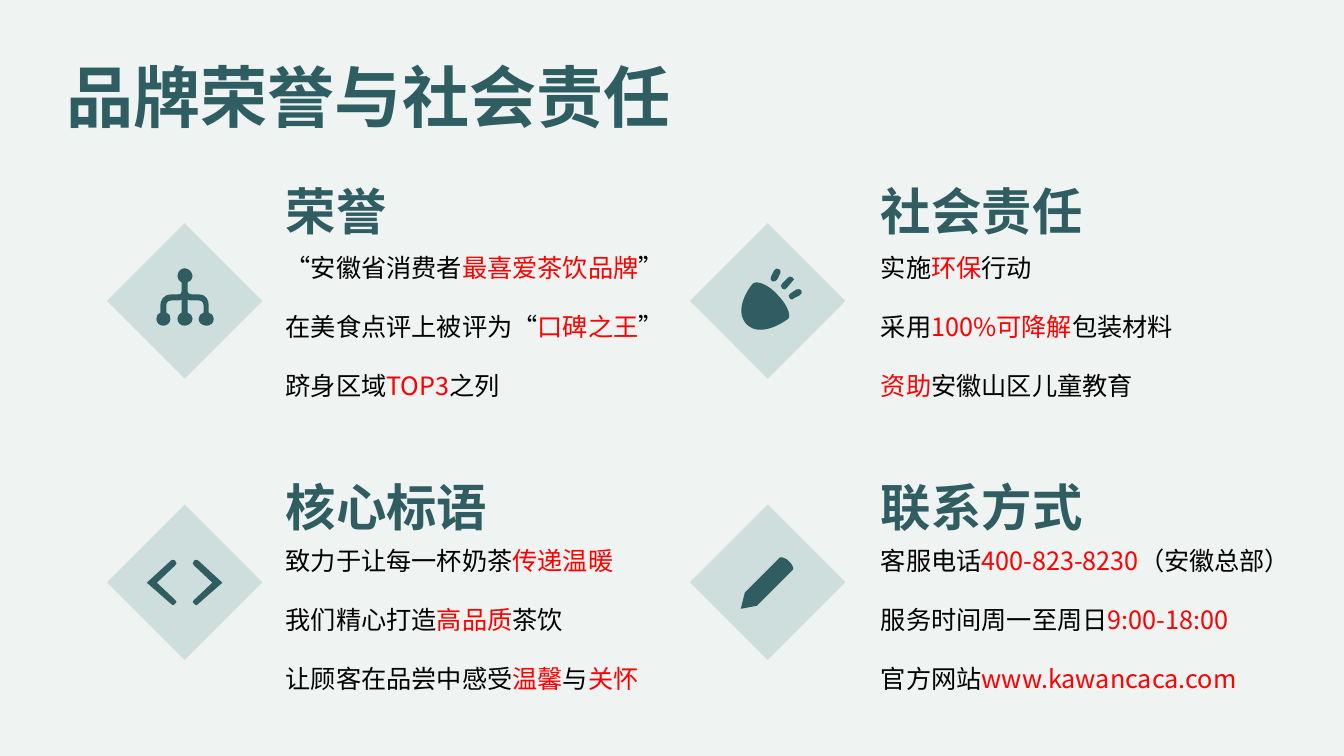
from dataclasses import dataclass

from lxml.etree import SubElement
from pptx import Presentation
from pptx.dml.color import RGBColor
from pptx.enum.lang import MSO_LANGUAGE_ID
from pptx.enum.shapes import MSO_SHAPE
from pptx.enum.text import MSO_ANCHOR
from pptx.oxml.ns import qn
from pptx.util import Cm, Pt


@dataclass(frozen=True)
class Theme:
    font: str = "Noto Sans CJK SC"
    background: RGBColor = RGBColor.from_string("EFF3F2")
    title: RGBColor = RGBColor.from_string("2E5D62")
    accent: RGBColor = RGBColor.from_string("2F5D62")
    diamond: RGBColor = RGBColor.from_string("CEDEDC")
    body: RGBColor = RGBColor.from_string("000000")
    highlight: RGBColor = RGBColor.from_string("FF0000")
    title_size: Pt = Pt(48)
    heading_size: Pt = Pt(36)
    body_size: Pt = Pt(18)


theme = Theme()
presentation = Presentation()
presentation.slide_width = Cm(33.87)
presentation.slide_height = Cm(19.05)
slide = presentation.slides.add_slide(presentation.slide_layouts[6])
slide.background.fill.solid()
slide.background.fill.fore_color.rgb = theme.background


def add_text(text, left, top, width, height, size, color, bold=False, anchor=MSO_ANCHOR.MIDDLE,
             spacing=1.4, after=0, insets=(0.18, 0.1, 0.18, 0.1)):
    frame = slide.shapes.add_textbox(Cm(left), Cm(top), Cm(width), Cm(height)).text_frame
    frame.word_wrap = True
    frame.vertical_anchor = anchor
    frame.margin_left, frame.margin_top, frame.margin_right, frame.margin_bottom = map(Cm, insets)
    for line_number, line in enumerate(text.split("\n")):
        paragraph = frame.add_paragraph() if line_number else frame.paragraphs[0]
        paragraph.line_spacing = spacing
        paragraph.space_after = Pt(after)
        for part_number, part in enumerate(line.split("|")):
            if not part:
                continue
            run = paragraph.add_run()
            run.text = part
            run.font.size = size
            run.font.bold = bold
            run.font.name = theme.font
            run.font.language_id = MSO_LANGUAGE_ID.SIMPLIFIED_CHINESE
            run.font.color.rgb = theme.highlight if part_number % 2 else color
            SubElement(run.font._element, qn("a:ea"), typeface=theme.font)


def add_icon(left, top, contours):
    unit = Cm(0.0254)
    builder = slide.shapes.build_freeform(*contours[0][0], scale=unit)
    builder = slide.shapes.build_freeform(*(value * unit for value in contours[0][0]))
    for number, (start, *segments) in enumerate(contours):
        if number:
            builder.move_to(*(value * unit for value in start))
        for segment in segments:
            values = [value * unit for value in (segment * 3 if len(segment) == 2 else segment)]
            builder.add_line_segments(zip(values[::2], values[1::2]), close=segment is segments[-1])
    icon = builder.convert_to_shape(Cm(left), Cm(top))
    lines = list(icon._element.iter(qn("a:lnTo")))
    for curve, second, third in zip(lines[::3], lines[1::3], lines[2::3]):
        curve.tag = qn("a:cubicBezTo")
        for line in (second, third):
            curve.append(line[0])
            line.getparent().remove(line)
    icon.shadow.inherit = False
    icon.fill.solid()
    icon.fill.fore_color.rgb = theme.accent
    icon.line.fill.background()


hierarchy = [[
    (52, 44), (52, 37), (52, 32, 50, 26, 42, 26), (36, 26), (32, 26, 31, 24, 31, 23), (31, 14),
    (34, 13, 36, 11, 36, 8), (36, 4, 32, 0, 28, 0), (24, 0, 21, 4, 21, 8), (21, 11, 23, 13, 25, 14),
    (25, 23), (25, 24, 25, 26, 21, 26), (15, 26), (7, 26, 4, 32, 4, 37), (4, 44),
    (2, 45, 0, 47, 0, 50), (0, 54, 3, 57, 7, 57), (11, 57, 14, 54, 14, 50), (14, 47, 13, 45, 10, 44),
    (10, 37), (10, 36, 10, 32, 15, 32), (21, 32), (23, 32, 24, 32, 25, 31), (25, 44),
    (23, 45, 21, 47, 21, 50), (21, 54, 24, 57, 28, 57), (32, 57, 36, 54, 36, 50),
    (36, 47, 34, 45, 31, 44), (31, 31), (32, 32, 34, 32, 36, 32), (42, 32),
    (46, 32, 47, 35, 47, 37), (47, 44), (44, 45, 42, 47, 42, 50), (42, 54, 45, 57, 50, 57),
    (54, 57, 57, 54, 57, 50), (57, 47, 55, 45, 52, 44),
]]
bell = [
    [(20, 15), (16, 19, 0, 42, 14, 56), (28, 69, 51, 53, 55, 50), (58, 46, 53, 35, 44, 26),
     (35, 16, 24, 12, 20, 15)],
    [(51, 21), (52, 21, 53, 20, 53, 20), (59, 13), (61, 12, 61, 10, 59, 9), (58, 8, 56, 8, 55, 9),
     (49, 15), (47, 16, 47, 19, 49, 20), (49, 20, 50, 21, 51, 21)],
    [(39, 13), (40, 13, 40, 13, 41, 13), (42, 13, 43, 12, 44, 11), (47, 5), (48, 3, 47, 2, 46, 1),
     (44, 0, 42, 0, 41, 2), (38, 8), (37, 10, 37, 12, 39, 13)],
    [(68, 22), (67, 21, 65, 20, 63, 21), (57, 25), (55, 26, 55, 28, 56, 29),
     (56, 30, 57, 31, 59, 31), (59, 31, 60, 31, 60, 30), (66, 27), (68, 26, 69, 24, 68, 22)],
]
left_bracket = [
    (28, 1), (27, 0, 25, 0, 24, 1), (0, 23), (24, 44), (25, 46, 27, 46, 28, 44),
    (30, 43, 30, 41, 28, 40), (10, 23), (28, 6), (30, 5, 30, 3, 28, 1),
]
right_bracket = [tuple(value if index % 2 else 75 - value for index, value in enumerate(segment))
                 for segment in left_bracket]
pencil = [[(48, 5), (43, 0, 39, 1, 39, 1), (4, 36), (0, 52), (16, 49), (52, 13),
           (52, 13, 53, 10, 48, 5)]]

sections = [
    ("荣誉", "“安徽省消费者|最喜爱茶饮品牌|”\n在美食点评上被评为“|口碑之王|”\n跻身区域|TOP3|之列",
     9.91, hierarchy, 3.94, 6.76),
    ("社会责任", "实施|环保|行动\n采用|100%可降解|包装材料\n|资助|安徽山区儿童教育",
     10.06, bell, 18.47, 6.76),
    ("核心标语", "致力于让每一杯奶茶|传递温暖\n我们精心打造|高品质|茶饮\n让顾客在品尝中感受|温馨|与|关怀",
     9.91, [left_bracket, right_bracket], 3.7, 14.1),
    ("联系方式", "客服电话|400-823-8230|（安徽总部）\n服务时间周一至周日|9:00-18:00\n官方网站|www.kawancaca.com",
     10.8, pencil, 18.67, 14.02),
]
columns = [(3.27, 7.02), (17.96, 22.02)]
rows = [(6.2, 4.47, 5.95), (13.29, 11.93, 13.34)]

add_text("品牌荣誉与社会责任", 1.31, 0.74, 31.22, 2.54, theme.title_size, theme.title, bold=True,
         insets=(0.36, 0.36, 0.15, 0.36))

for number, (heading, body, body_width, icon_contours, icon_left, icon_top) in enumerate(sections):
    diamond_left, text_left = columns[number % 2]
    diamond_top, heading_top, body_top = rows[number // 2]
    diamond = slide.shapes.add_shape(MSO_SHAPE.RECTANGLE, Cm(diamond_left), Cm(diamond_top),
                                     Cm(2.77), Cm(2.77))
    diamond.rotation = 45
    diamond.shadow.inherit = False
    diamond.fill.solid()
    diamond.fill.fore_color.rgb = theme.diamond
    diamond.line.fill.background()
    add_icon(icon_left, icon_top, icon_contours)
    add_text(heading, text_left, heading_top, 9.42, 1.37, theme.heading_size, theme.accent,
             bold=True, spacing=1.2)
    add_text(body, text_left, body_top, body_width, 4.6, theme.body_size, theme.body,
             anchor=MSO_ANCHOR.TOP, after=12)

presentation.save("out.pptx")
